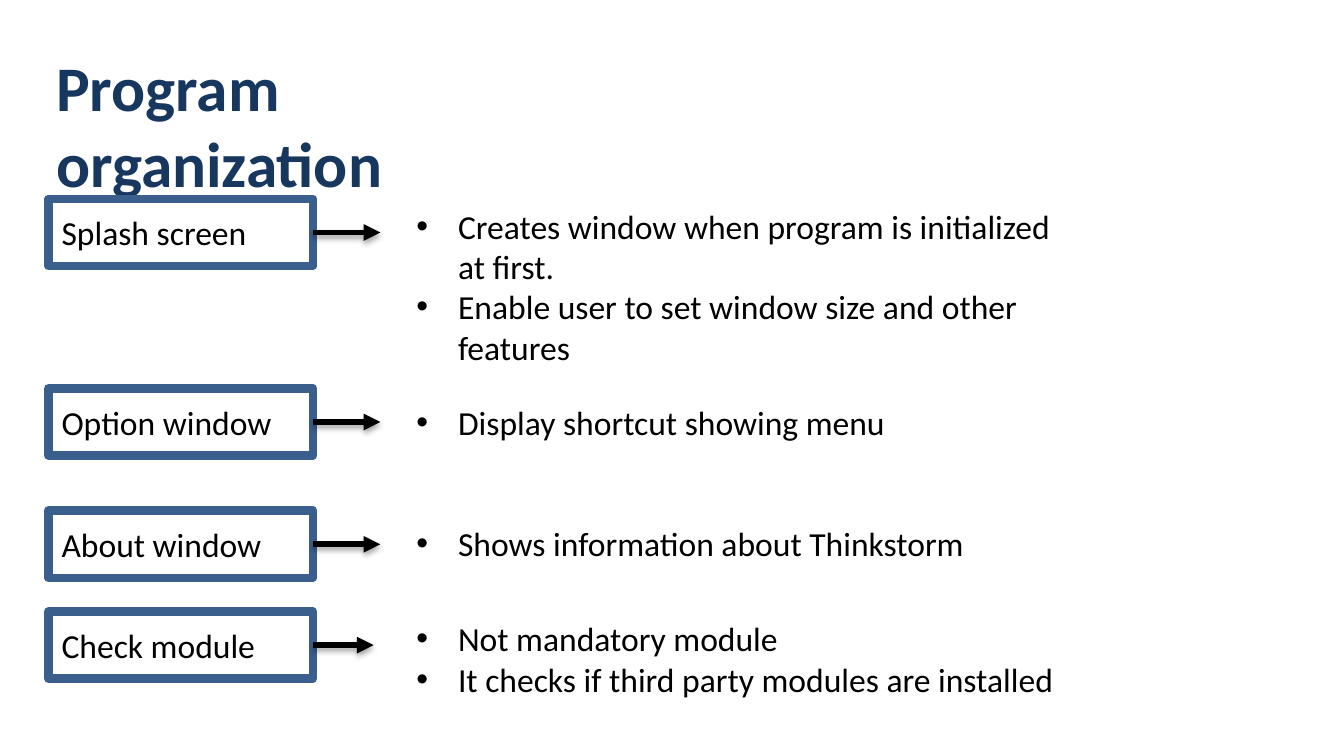
from pptx import Presentation
from pptx.dml.color import RGBColor
from pptx.enum.shapes import MSO_CONNECTOR, MSO_SHAPE
from pptx.enum.text import MSO_ANCHOR, PP_ALIGN
from pptx.oxml import parse_xml
from pptx.oxml.ns import nsdecls, qn
from pptx.util import Inches, Pt

RECTANGLE = MSO_SHAPE.RECTANGLE
STRAIGHT = MSO_CONNECTOR.STRAIGHT
MIDDLE = MSO_ANCHOR.MIDDLE
LEFT = PP_ALIGN.LEFT

FONT = "Calibri"
TITLE = "Program organization"
MODULES = [
    {"name": "Splash screen", "top": 1.48, "arrow": 0.5, "notes_top": 1.48, "notes_size": (5.02, 1.31),
     "notes": ["Creates window when program is initialized at first.",
               "Enable user to set window size and other features"]},
    {"name": "Option window", "top": 2.89, "arrow": 0.5, "notes_top": 2.94, "notes_size": (5.02, 0.4),
     "notes": ["Display shortcut showing menu"]},
    {"name": "About window", "top": 3.8, "arrow": 0.5, "notes_top": 3.84, "notes_size": (5.02, 0.4),
     "notes": ["Shows information about Thinkstorm"]},
    {"name": "Check module", "top": 4.55, "arrow": 0.45, "notes_top": 4.55, "notes_size": (5.85, 0.71),
     "notes": ["Not mandatory module",
               "It checks if third party modules are installed"]},
]
SLIDE_WIDTH = 10
SLIDE_HEIGHT = SLIDE_WIDTH * 9 / 16
BOX_LEFT, BOX_WIDTH, BOX_HEIGHT = 0.36, 1.97, 0.5
NOTES_LEFT = 3
BULLET_INDENT = 0.31

SHADOW = (
    f'<a:effectLst {nsdecls("a")}>'
    f'<a:outerShdw blurRad="{Pt(3.1)}" dist="{Pt(1.8)}" dir="5400000" rotWithShape="0">'
    '<a:srgbClr val="000000"><a:alpha val="35000"/></a:srgbClr>'
    '</a:outerShdw></a:effectLst>'
)


def color(value):
    return RGBColor.from_string(value)


def write(shape, lines, size=18, ink="000000", bold=False):
    frame = shape.text_frame
    frame.word_wrap = True
    frame.text = "\n".join(lines)
    for paragraph in frame.paragraphs:
        paragraph.alignment = LEFT
        font = paragraph.font
        font.name, font.size, font.bold = FONT, Pt(size), bold
        font.color.rgb = color(ink)
    return frame


def add_text(slide, left, top, width, height, lines, **style):
    shape = slide.shapes.add_textbox(Inches(left), Inches(top), Inches(width), Inches(height))
    return write(shape, lines, **style)


def add_bullets(frame):
    for paragraph in frame.paragraphs:
        properties = paragraph._p.get_or_add_pPr()
        properties.set("marL", str(Inches(BULLET_INDENT)))
        properties.set("indent", str(-Inches(BULLET_INDENT)))
        bullet_font = parse_xml(f'<a:buFont {nsdecls("a")} typeface="Arial"/>')
        bullet = parse_xml(f'<a:buChar {nsdecls("a")} char="•"/>')
        properties.insert_element_before(bullet_font, "a:tabLst", "a:defRPr", "a:extLst")
        properties.insert_element_before(bullet, "a:tabLst", "a:defRPr", "a:extLst")


def add_box(slide, top, name):
    shape = slide.shapes.add_shape(
        RECTANGLE, Inches(BOX_LEFT), Inches(top), Inches(BOX_WIDTH), Inches(BOX_HEIGHT))
    shape.shadow.inherit = False
    shape.fill.background()
    shape.line.color.rgb = color("3A5F8C")
    shape.line.width = Pt(4.5)
    write(shape, [name]).vertical_anchor = MIDDLE


def add_arrow(slide, left, middle, length):
    connector = slide.shapes.add_connector(
        STRAIGHT, Inches(left), Inches(middle), Inches(left + length), Inches(middle))
    connector.line.color.rgb = color("000000")
    connector.line.width = Pt(3)
    properties = connector._element.spPr
    properties.find(qn("a:ln")).append(parse_xml(f'<a:tailEnd {nsdecls("a")} type="triangle"/>'))
    properties.append(parse_xml(SHADOW))


def main():
    presentation = Presentation()
    presentation.slide_width = Inches(SLIDE_WIDTH)
    presentation.slide_height = Inches(SLIDE_HEIGHT)
    slide = presentation.slides.add_slide(presentation.slide_layouts[6])
    add_text(slide, 0.32, 0.31, 3.84, 0.84, [TITLE], size=34, ink="17375E", bold=True)
    for module in MODULES:
        add_box(slide, module["top"], module["name"])
        add_arrow(slide, BOX_LEFT + BOX_WIDTH, module["top"] + BOX_HEIGHT / 2, module["arrow"])
        add_bullets(add_text(
            slide, NOTES_LEFT, module["notes_top"], *module["notes_size"], module["notes"]))
    presentation.save("out.pptx")


if __name__ == "__main__":
    main()
